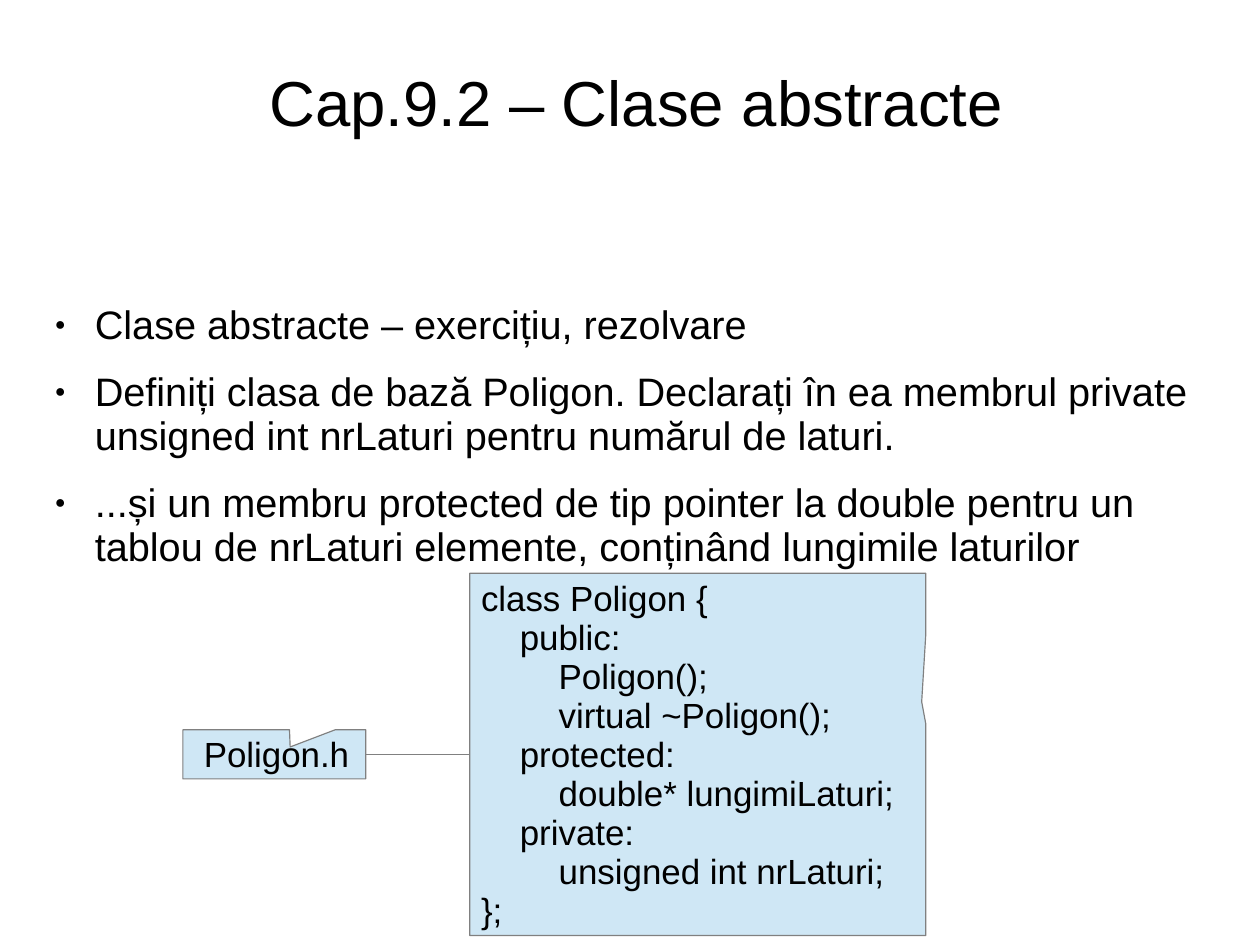
import dataclasses

import pptx
import pptx.dml.color
import pptx.enum.shapes
import pptx.enum.text
import pptx.oxml.ns
import pptx.util
from lxml import etree

Inches = pptx.util.Inches
Pt = pptx.util.Pt
Color = pptx.dml.color.RGBColor
Align = pptx.enum.text.PP_ALIGN
Anchor = pptx.enum.text.MSO_ANCHOR


@dataclasses.dataclass(frozen=True)
class Theme:
    font: str = "Arial"
    ink: Color = Color(0x00, 0x00, 0x00)
    panel: Color = Color(0xCF, 0xE7, 0xF5)
    outline: Color = Color(0x80, 0x80, 0x80)
    title_size: float = 40
    body_size: float = 25
    code_size: float = 22
    line_spacing: float = 0.93
    outline_width: float = 0.75


theme = Theme()
CODE_STEP = 0.34  # inches per code indent level

TITLE = "Cap.9.2 – Clase abstracte"
BULLETS = [
    "Clase abstracte – exercițiu, rezolvare",
    "Definiți clasa de bază Poligon. Declarați în ea membrul private "
    "unsigned int nrLaturi pentru numărul de laturi.",
    "...și un membru protected de tip pointer la double pentru un "
    "tablou de nrLaturi elemente, conținând lungimile laturilor",
]
FILE_LINES = [(0.25, "Poligon.h")]
CLASS_LINES = [
    (0, "class Poligon {"),
    (1, "public:"),
    (2, "Poligon();"),
    (2, "virtual ~Poligon();"),
    (1, "protected:"),
    (2, "double* lungimiLaturi;"),
    (1, "private:"),
    (2, "unsigned int nrLaturi;"),
    (0, "};"),
]


def set_frame(frame, margins, anchor):
    """Set wrapping, anchor and margins (left, top, right, bottom in inches)."""
    frame.word_wrap = True
    frame.auto_size = pptx.enum.text.MSO_AUTO_SIZE.NONE
    frame.vertical_anchor = anchor
    (frame.margin_left, frame.margin_top,
     frame.margin_right, frame.margin_bottom) = map(Inches, margins)


def write_lines(frame, lines, size, align=Align.LEFT):
    """Write (left margin in inches, text) lines; return the paragraphs."""
    for index, (margin, text) in enumerate(lines):
        para = frame.add_paragraph() if index else frame.paragraphs[0]
        para.alignment = align
        para.line_spacing = theme.line_spacing
        para.space_before = para.space_after = Pt(0)
        properties = para._p.get_or_add_pPr()
        properties.set("marL", str(Inches(margin)))
        properties.set("indent", "0")
        span = para.add_run()
        span.text = text
        span.font.name = theme.font
        span.font.size = Pt(size)
        span.font.color.rgb = theme.ink
    return frame.paragraphs


deck = pptx.Presentation()
deck.slide_width = pptx.util.Cm(28)
deck.slide_height = pptx.util.Cm(21)
page = deck.slides.add_slide(deck.slide_layouts[5])
left_edge = Inches(0.36)

# Title
title = page.shapes.title
title.left, title.top = left_edge, Inches(0.28)
title.width, title.height = Inches(10.41), int(deck.slide_height * 0.15)
set_frame(title.text_frame, (0, 0.04, 0, 0), Anchor.MIDDLE)
write_lines(title.text_frame, [(0, TITLE)], theme.title_size, Align.CENTER)

# Bulleted list
body = page.shapes.add_textbox(left_edge, Inches(2.64), Inches(10.34), Inches(2.46))
set_frame(body.text_frame, (0, 0.02, 0, 0), Anchor.TOP)
bullets = [(0.47, text) for text in BULLETS]
for para in write_lines(body.text_frame, bullets, theme.body_size):
    para.space_after = Pt(14.1)
    properties = para._p.get_or_add_pPr()
    properties.set("indent", str(Inches(-0.35)))
    for tag, name, value in (("a:buSzPct", "val", "45000"),
                             ("a:buFont", "typeface", theme.font),
                             ("a:buChar", "char", "●")):
        bullet = etree.SubElement(properties, pptx.oxml.ns.qn(tag))
        bullet.set(name, value)

# File name and class declaration, centred on one axis
axis = 6.6
panels = []
for left, width, height, pointer, lines in (
    (1.6, 1.6, 0.43, (0.087, -0.15), FILE_LINES),
    (4.11, 3.99, 3.17, (0.491, -0.145), CLASS_LINES),
):
    panel = page.shapes.add_shape(
        pptx.enum.shapes.MSO_SHAPE.RECTANGULAR_CALLOUT,
        Inches(left), Inches(axis - height / 2), Inches(width), Inches(height))
    panel.adjustments[0], panel.adjustments[1] = pointer
    panel.shadow.inherit = False
    panel.fill.solid()
    panel.fill.fore_color.rgb = theme.panel
    panel.line.color.rgb = theme.outline
    panel.line.width = Pt(theme.outline_width)
    set_frame(panel.text_frame, (0.1, 0.07, 0.1, 0.05), Anchor.MIDDLE)
    code = [(level * CODE_STEP, text) for level, text in lines]
    write_lines(panel.text_frame, code, theme.code_size)
    panels.append(panel)

file_panel, class_panel = panels
link = page.shapes.add_connector(
    pptx.enum.shapes.MSO_CONNECTOR.ELBOW, 0, 0, 0, 0)
link.begin_connect(file_panel, 3)
link.end_connect(class_panel, 1)
link.line.color.rgb = theme.outline
link.line.width = Pt(theme.outline_width)
etree.SubElement(link._element.spPr, pptx.oxml.ns.qn("a:effectLst"))

deck.save("out.pptx")
